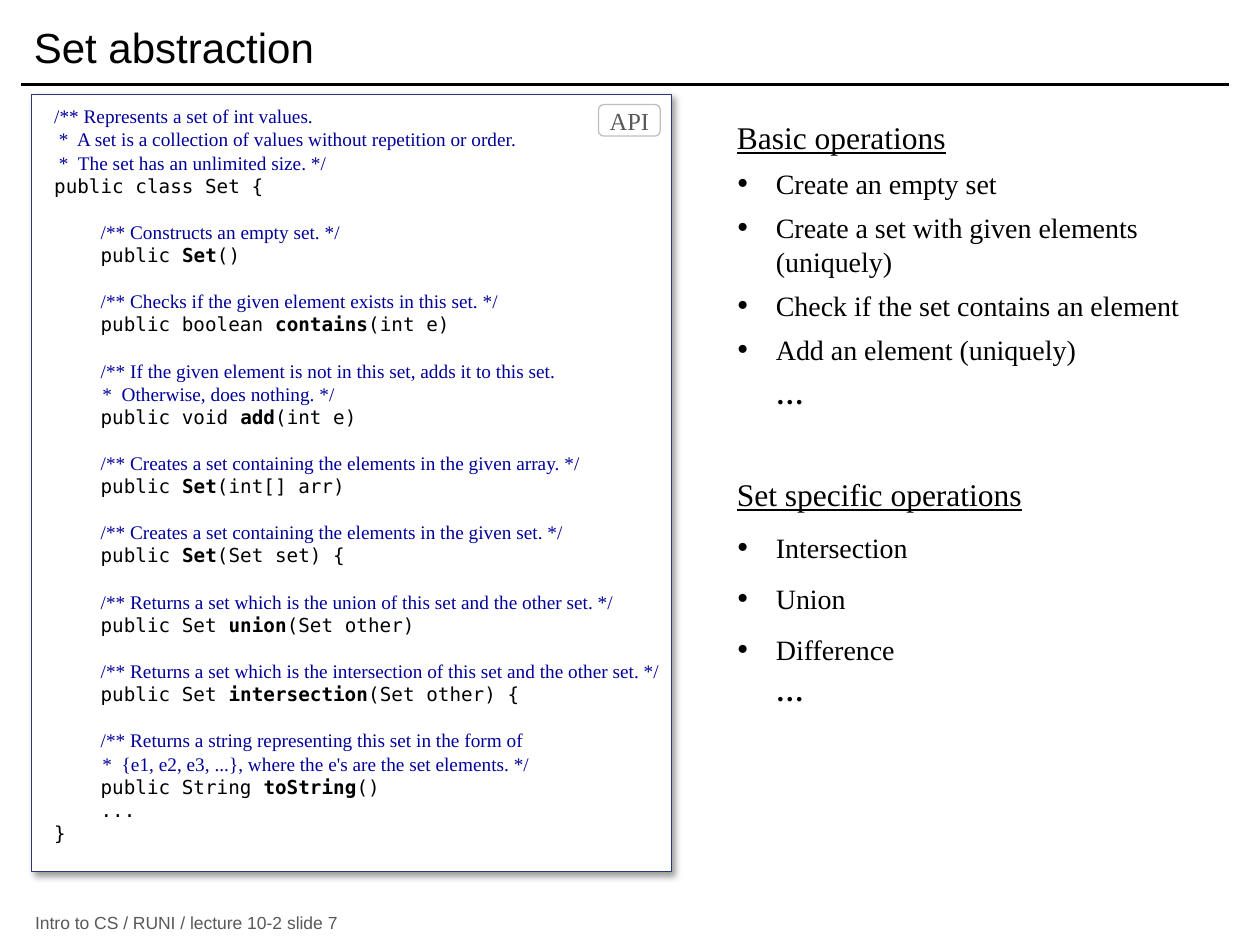
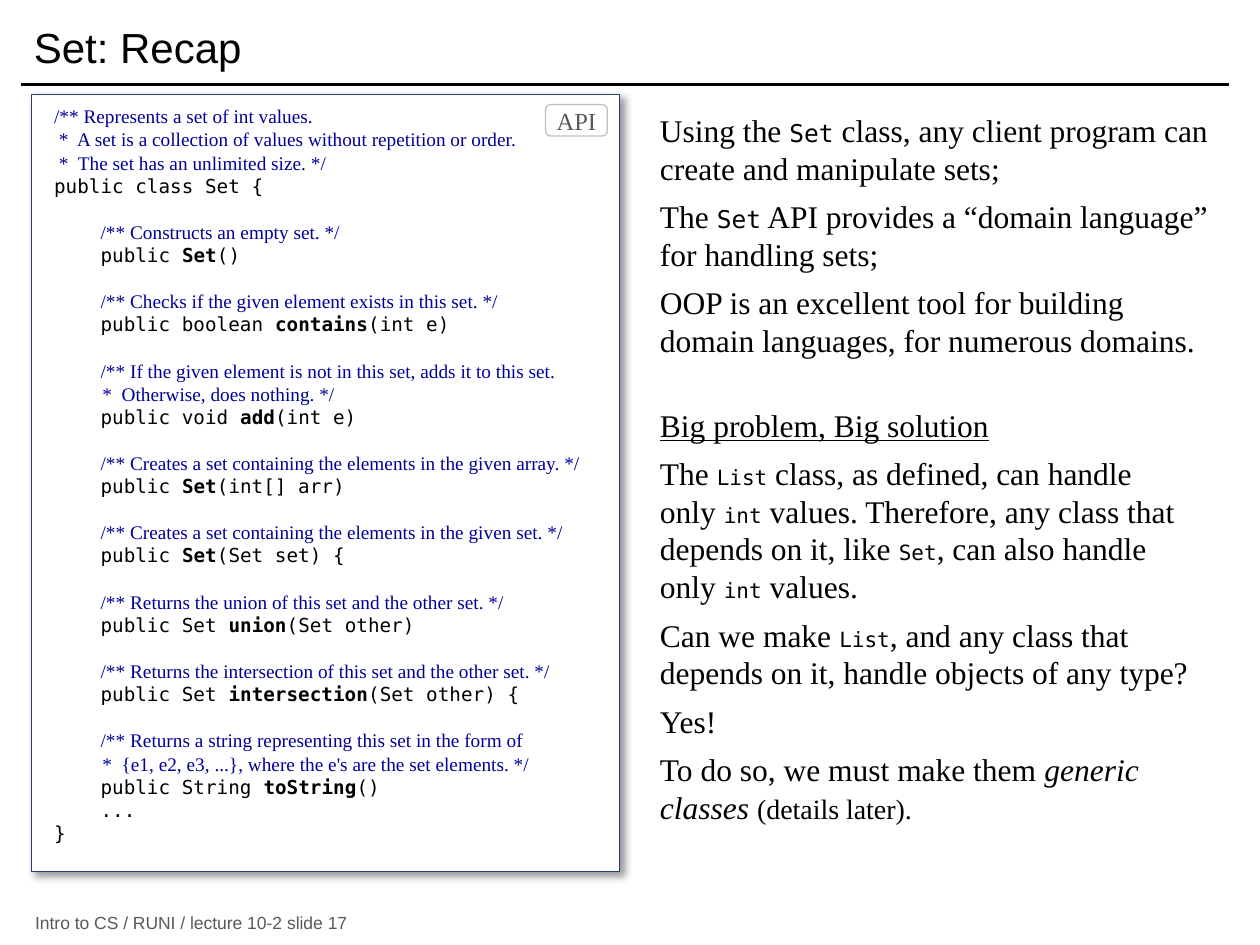
from lxml import etree
from pptx import Presentation
from pptx.dml.color import RGBColor
from pptx.enum.shapes import MSO_CONNECTOR, MSO_SHAPE
from pptx.enum.text import MSO_ANCHOR, PP_ALIGN
from pptx.oxml.ns import qn
from pptx.util import Inches, Pt

RECTANGLE = MSO_SHAPE.RECTANGLE
ROUNDED = MSO_SHAPE.ROUNDED_RECTANGLE
STRAIGHT = MSO_CONNECTOR.STRAIGHT
TOP, MIDDLE = MSO_ANCHOR.TOP, MSO_ANCHOR.MIDDLE
LEFT, CENTER = PP_ALIGN.LEFT, PP_ALIGN.CENTER

SANS, SERIF, MONO = "Arial", "Times New Roman", "DejaVu Sans Mono"
BLACK, WHITE, GRAY, SILVER = "000000", "FFFFFF", "595959", "BFBFBF"
COMMENT, FRAME = "000099", "293973"
TEXT_INSETS = (0.1, 0.05, 0.1, 0.05)
LINE_HEIGHT = 1.2
CODE_SIZE = 11


def set_api(union_result, intersection_result):
    """Return the Set class as blocks of code lines."""
    return [
        ["/** Represents a set of int values.",
         " *  A set is a collection of values without repetition or order.",
         " *  The set has an unlimited size. */",
         "public class Set {"],
        ["    /** Constructs an empty set. */",
         "    public Set()"],
        ["    /** Checks if the given element exists in this set. */",
         "    public boolean contains(int e)"],
        ["    /** If the given element is not in this set, adds it to this set.",
         "          *  Otherwise, does nothing. */",
         "    public void add(int e)"],
        ["    /** Creates a set containing the elements in the given array. */",
         "    public Set(int[] arr)"],
        ["    /** Creates a set containing the elements in the given set. */",
         "    public Set(Set set) {"],
        [f"    /** Returns {union_result} of this set and the other set. */",
         "    public Set union(Set other)"],
        [f"    /** Returns {intersection_result} of this set and the other set. */",
         "    public Set intersection(Set other) {"],
        ["    /** Returns a string representing this set in the form of",
         "          *  {e1, e2, e3, ...}, where the e's are the set elements. */",
         "    public String toString()",
         "    ...",
         "}"],
    ]


def color(hex_string):
    return RGBColor.from_string(hex_string)


def add_element(parent, tag, **attributes):
    element = etree.SubElement(parent, qn(tag))
    for name, value in attributes.items():
        element.set(name, str(value))
    return element


def mixed_runs(text, mono_size):
    """Split text at backticks; the parts between them become code words."""
    code = {"font": MONO, "size": mono_size}
    return [(part, code if index % 2 else {})
            for index, part in enumerate(text.split("`"))]


def code_runs(line):
    """Colour comments and make the name before a parenthesis bold."""
    stripped = line.lstrip()
    comment = {"font": SERIF, "color_hex": COMMENT}
    if stripped.startswith("*"):
        return [(line, comment)]
    if stripped.startswith("/**"):
        return [(line[:-len(stripped)], {}), (stripped, comment)]
    head, parenthesis, tail = line.partition("(")
    if not parenthesis:
        return [(line, {})]
    before, space, name = head.rpartition(" ")
    return [(before + space, {}), (name, {"bold": True}), (parenthesis + tail, {})]


def write(frame, text, size=18, font=SERIF, color_hex=BLACK, bold=False,
          italic=False, underline=False, align=LEFT, before=0, spacing=1.0,
          margin=0, bullet=False, tab=None):
    """Add a paragraph; text is a string or a list of (text, format changes)."""
    is_first = not frame.text
    paragraph = frame.paragraphs[0] if is_first else frame.add_paragraph()
    properties = paragraph._p.get_or_add_pPr()
    properties.set("marL", str(Inches(margin)))
    properties.set("indent", str(-Inches(margin) if bullet else 0))
    if bullet:
        bullet_color = add_element(properties, "a:buClr")
        add_element(bullet_color, "a:srgbClr", val=color_hex)
        add_element(properties, "a:buSzPct", val=120000)
        add_element(properties, "a:buFont", typeface=SERIF)
        add_element(properties, "a:buChar", char="•")
    else:
        add_element(properties, "a:buNone")
    if tab:
        tabs = add_element(properties, "a:tabLst")
        add_element(tabs, "a:tab", pos=Inches(tab), algn="l")
    paragraph.alignment = align
    paragraph.line_spacing = Pt(round(size * LINE_HEIGHT * spacing, 1))
    paragraph.space_before = Pt(0 if is_first else before)
    paragraph.space_after = Pt(0)
    base = {"size": size, "font": font, "color_hex": color_hex, "bold": bold,
            "italic": italic, "underline": underline}
    for words, changes in [(text, {})] if isinstance(text, str) else text:
        if not words:
            continue
        style = {**base, **changes}
        run = paragraph.add_run()
        run.text = words
        run.font.size = Pt(style["size"])
        run.font.name = style["font"]
        run.font.color.rgb = color(style["color_hex"])
        run.font.bold = style["bold"]
        run.font.italic = style["italic"]
        run.font.underline = style["underline"]


class Deck:
    def __init__(self):
        self.presentation = Presentation()
        self.presentation.slide_width = Inches(10)
        self.presentation.slide_height = Inches(7.5)
        self.slide = None

    def start_slide(self, title, number):
        layout = self.presentation.slide_layouts[6]
        self.slide = self.presentation.slides.add_slide(layout)
        self.rule(0.17, 0.67, 9.75, 0.67)
        footer = self.text_box(0.18, 7.23, 9.42, 0.19, MIDDLE)
        write(footer, f"Intro to CS / RUNI / lecture 10-2\tslide {number}",
              size=10, font=SANS, color_hex=GRAY, tab=8.6)
        title_frame = self.text_box(0.17, 0.08, 9.58, 0.58, MIDDLE)
        write(title_frame, title, size=24, font=SANS)

    def rule(self, x1, y1, x2, y2):
        line = self.slide.shapes.add_connector(
            STRAIGHT, Inches(x1), Inches(y1), Inches(x2), Inches(y2))
        line.line.color.rgb = color(BLACK)
        line.line.width = Pt(2)
        add_element(line._element.spPr, "a:effectLst")

    def prepare_frame(self, shape, insets, anchor):
        frame = shape.text_frame
        frame.word_wrap = True
        frame.vertical_anchor = anchor
        (frame.margin_left, frame.margin_top,
         frame.margin_right, frame.margin_bottom) = map(Inches, insets)
        return frame

    def text_box(self, left, top, width, height, anchor=TOP):
        shape = self.slide.shapes.add_textbox(
            Inches(left), Inches(top), Inches(width), Inches(height))
        return self.prepare_frame(shape, TEXT_INSETS, anchor)

    def panel(self, kind, left, top, width, height, line, insets,
              anchor=TOP, shadow=False):
        shape = self.slide.shapes.add_shape(
            kind, Inches(left), Inches(top), Inches(width), Inches(height))
        shape.fill.solid()
        shape.fill.fore_color.rgb = color(WHITE)
        shape.line.color.rgb = color(line)
        shape.line.width = Pt(0.75)
        shape.shadow.inherit = False
        if shadow:
            effects = shape._element.spPr.find(qn("a:effectLst"))
            outer = add_element(effects, "a:outerShdw", blurRad=Pt(4), dist=Pt(3),
                                dir=45 * 60000, algn="tl", rotWithShape=0)
            shade = add_element(outer, "a:srgbClr", val=BLACK)
            add_element(shade, "a:alpha", val=40000)
        return self.prepare_frame(shape, insets, anchor)

    def api_listing(self, blocks, width, badge_left):
        frame = self.panel(RECTANGLE, 0.25, 0.75, width, 6.17, FRAME,
                           (0.18, 0.08, 0, 0), shadow=True)
        for block in blocks:
            for index, line in enumerate(block):
                write(frame, code_runs(line), size=CODE_SIZE, font=MONO,
                      before=0 if index else CODE_SIZE * LINE_HEIGHT)
        badge = self.panel(ROUNDED, badge_left, 0.83, 0.49, 0.25, SILVER,
                           (0, 0.05, 0, 0.05), MIDDLE)
        write(badge, "API", size=14, color_hex=GRAY, align=CENTER)

    def operations(self, box, heading, items, before, spacing):
        """Write an underlined heading, bulleted items and a closing ellipsis."""
        frame = self.text_box(*box)
        write(frame, heading, underline=True, spacing=0.9)
        for item in items:
            write(frame, item, size=16, before=before, spacing=spacing,
                  margin=0.31, bullet=True)
        write(frame, "…", size=16, bold=True, before=6, spacing=spacing, margin=0.31)

    def prose(self, box, paragraphs, mono_size, heading=None):
        frame = self.text_box(*box)
        if heading:
            write(frame, heading, underline=True, margin=0.06)
        for text in paragraphs:
            runs = mixed_runs(text, mono_size) if isinstance(text, str) else text
            write(frame, runs, before=6, margin=0.06)


def build_abstraction(deck):
    deck.start_slide("Set abstraction", 7)
    blocks = set_api("a set which is the union", "a set which is the intersection")
    deck.api_listing(blocks, width=5.08, badge_left=4.75)
    deck.operations((5.75, 3.75, 2.67, 2.1), "Set specific operations",
                    ["Intersection", "Union", "Difference"], before=12, spacing=0.9)
    deck.operations((5.75, 0.92, 3.83, 2.5), "Basic operations",
                    ["Create an empty set",
                     "Create a set with given elements (uniquely)",
                     "Check if the set contains an element",
                     "Add an element (uniquely)"], before=6, spacing=1.0)


def build_recap(deck):
    deck.start_slide("Set: Recap", 17)
    blocks = set_api("the union", "the intersection")
    deck.api_listing(blocks, width=4.67, badge_left=4.33)
    deck.prose((5.08, 0.83, 4.67, 2.5), [
        "Using the `Set` class, any client program can create and manipulate sets;",
        "The `Set` API provides a “domain language” for handling sets;",
        "OOP is an excellent tool for building domain languages, "
        "for numerous domains.",
    ], mono_size=14)
    deck.prose((5.08, 3.17, 4.5, 3.43), [
        "The `List` class, as defined, can handle only `int` values. Therefore, "
        "any class that depends on it, like `Set`, can also handle only `int` values.",
        "Can we make `List`, and any class that depends on it, "
        "handle objects of any type?",
        "Yes!",
        [("To do so, we must make them ", {}), ("generic classes ", {"italic": True}),
         ("(details later).", {"size": 16})],
    ], mono_size=12, heading="Big problem, Big solution")


def main():
    deck = Deck()
    build_abstraction(deck)
    build_recap(deck)
    deck.presentation.save("out.pptx")


if __name__ == "__main__":
    main()
